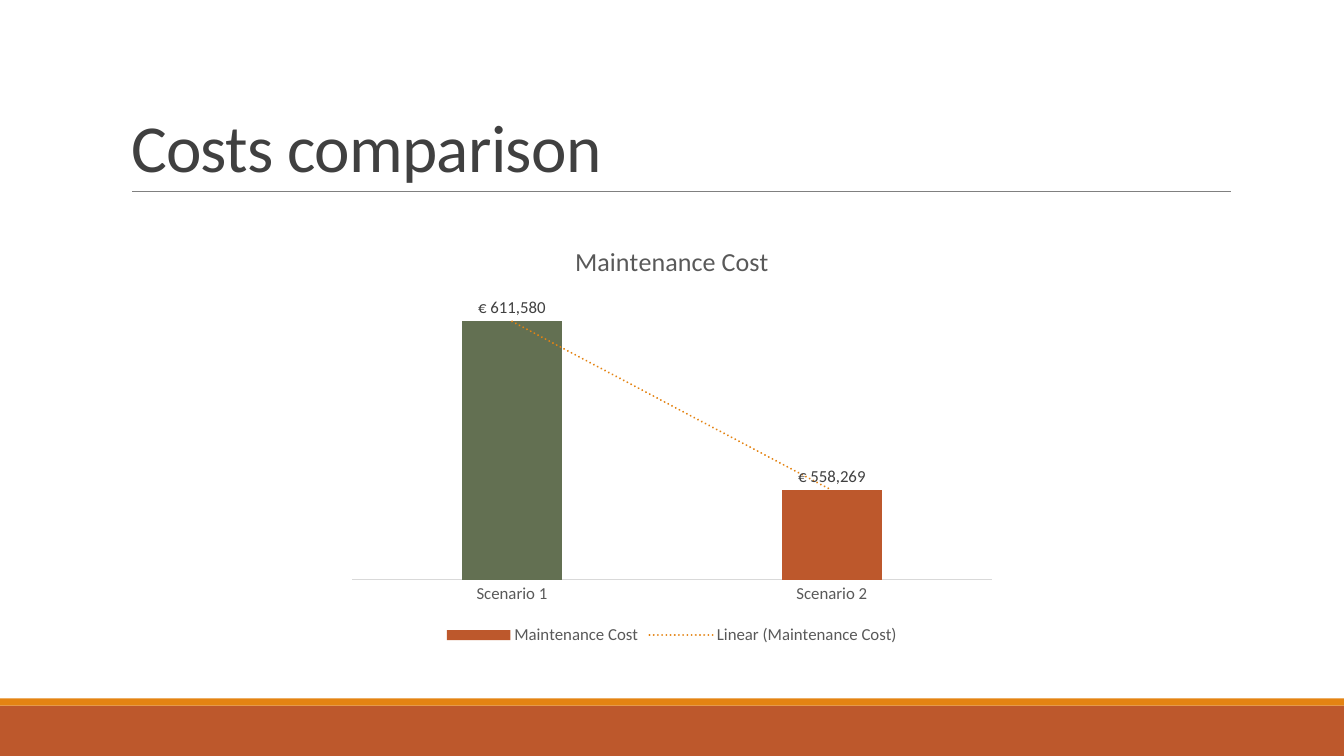
from lxml import etree
from pptx import Presentation
from pptx.chart.data import CategoryChartData
from pptx.dml.color import RGBColor
from pptx.enum import chart as charts, shapes, text
from pptx.oxml import parse_xml
from pptx.oxml.ns import nsdecls, qn
from pptx.util import Inches, Pt

FONT = "Calibri"
RUST = RGBColor(0xBD, 0x58, 0x2C)
ORANGE = RGBColor(0xE4, 0x83, 0x12)
GREEN = RGBColor(0x63, 0x70, 0x52)
DARK = RGBColor(0x40, 0x40, 0x40)
GREY = RGBColor(0x59, 0x59, 0x59)
RULE_GREY = RGBColor(0x80, 0x80, 0x80)
AXIS_GREY = RGBColor(0xD9, 0xD9, 0xD9)
EURO_FORMAT = r"_-[$€-2]\ * #,##0_-;\-[$€-2]\ * #,##0_-;"


def set_font(font, size, color):
    font.name = FONT
    font.size = Pt(size)
    font.bold = False
    font.color.rgb = color


def add_band(slide, top, height, color):
    """Add a full-width strip at the foot of the slide."""
    band = slide.shapes.add_shape(
        shapes.MSO_SHAPE.RECTANGLE, 0, Inches(top), Inches(13.33), Inches(height))
    band.shadow.inherit = False
    band.fill.solid()
    band.fill.fore_color.rgb = color
    band.line.fill.background()


def add_title_rule(slide):
    rule = slide.shapes.add_connector(
        shapes.MSO_CONNECTOR.STRAIGHT, Inches(1.31), Inches(1.9), Inches(12.21), Inches(1.9))
    rule.line.color.rgb = RULE_GREY
    rule.line.width = Pt(0.5)
    etree.SubElement(rule._element.spPr, qn("a:effectLst"))


def set_title(slide, wording):
    title = slide.shapes.title
    title.left, title.top = Inches(1.2), Inches(0.31)
    title.width, title.height = Inches(11), Inches(1.59)
    frame = title.text_frame
    frame.word_wrap = True
    frame.vertical_anchor = text.MSO_ANCHOR.BOTTOM
    paragraph = frame.paragraphs[0]
    paragraph.alignment = text.PP_ALIGN.LEFT
    paragraph.line_spacing = 0.85
    run = paragraph.add_run()
    run.text = wording
    set_font(run.font, 48, DARK)
    run._r.get_or_add_rPr().set("spc", "-50")


def add_linear_trend(series, color):
    trend = parse_xml(
        f'<c:trendline {nsdecls("c", "a")}><c:spPr><a:ln w="{Pt(1.5)}" cap="rnd">'
        f'<a:solidFill><a:srgbClr val="{color}"/></a:solidFill><a:prstDash val="sysDot"/>'
        '</a:ln></c:spPr><c:trendlineType val="linear"/>'
        '<c:dispRSqr val="0"/><c:dispEq val="0"/></c:trendline>')
    series._element.find(qn("c:cat")).addprevious(trend)


def place_plot(chart, x, y, width, height):
    """Fix the inner plot area, in fractions of the chart."""
    plot_area = chart._chartSpace.chart.plotArea
    for old in plot_area.findall(qn("c:layout")):
        plot_area.remove(old)
    sizes = "".join(f'<c:{tag} val="{value}"/>'
                    for tag, value in zip("xywh", (x, y, width, height)))
    plot_area.insert(0, parse_xml(
        f'<c:layout {nsdecls("c")}><c:manualLayout><c:layoutTarget val="inner"/>'
        f'<c:xMode val="edge"/><c:yMode val="edge"/>{sizes}</c:manualLayout></c:layout>'))


def format_axes(chart):
    category_axis = chart.category_axis
    category_axis.major_tick_mark = charts.XL_TICK_MARK.NONE
    category_axis.format.line.color.rgb = AXIS_GREY
    category_axis.format.line.width = Pt(0.75)
    set_font(category_axis.tick_labels.font, 12, GREY)

    value_axis = chart.value_axis
    value_axis.minimum_scale, value_axis.maximum_scale = 530000, 620000
    value_axis.has_major_gridlines = False
    value_axis.visible = False


def format_columns(chart):
    plot = chart.plots[0]
    plot.vary_by_categories = False
    plot.gap_width, plot.overlap = 219, -27
    series = plot.series[0]
    first_column = series.points[0]
    for item, color in ((series, RUST), (first_column, GREEN)):
        item.format.fill.solid()
        item.format.fill.fore_color.rgb = color
    labels = series.data_labels
    labels.show_value = True
    labels.position = charts.XL_LABEL_POSITION.OUTSIDE_END
    labels.number_format = EURO_FORMAT
    labels.number_format_is_linked = False
    set_font(labels.font, 12, DARK)
    add_linear_trend(series, ORANGE)


def add_cost_chart(slide):
    data = CategoryChartData(number_format=EURO_FORMAT)
    data.categories = ["Scenario 1", "Scenario 2"]
    data.add_series("Maintenance Cost", (611580, 558269))
    chart = slide.shapes.add_chart(
        charts.XL_CHART_TYPE.COLUMN_CLUSTERED,
        Inches(3.36), Inches(2.23), Inches(6.61), Inches(4.21), data).chart
    chart.font.name = FONT
    chart.font.size = Pt(10)

    chart.has_title = True
    run = chart.chart_title.text_frame.paragraphs[0].add_run()
    run.text = "Maintenance Cost"
    set_font(run.font, 18.6, GREY)

    chart.has_legend = True
    chart.legend.position = charts.XL_LEGEND_POSITION.BOTTOM
    chart.legend.include_in_layout = False
    set_font(chart.legend.font, 12, GREY)

    format_axes(chart)
    format_columns(chart)
    place_plot(chart, 0.02, 0.165, 0.96, 0.672)


def main():
    presentation = Presentation()
    presentation.slide_width = Inches(13.33)
    presentation.slide_height = Inches(7.5)
    slide = presentation.slides.add_slide(presentation.slide_layouts[5])
    add_band(slide, 7, 0.5, RUST)
    add_band(slide, 6.93, 0.07, ORANGE)
    add_title_rule(slide)
    set_title(slide, "Costs comparison")
    add_cost_chart(slide)
    presentation.save("out.pptx")


if __name__ == "__main__":
    main()
